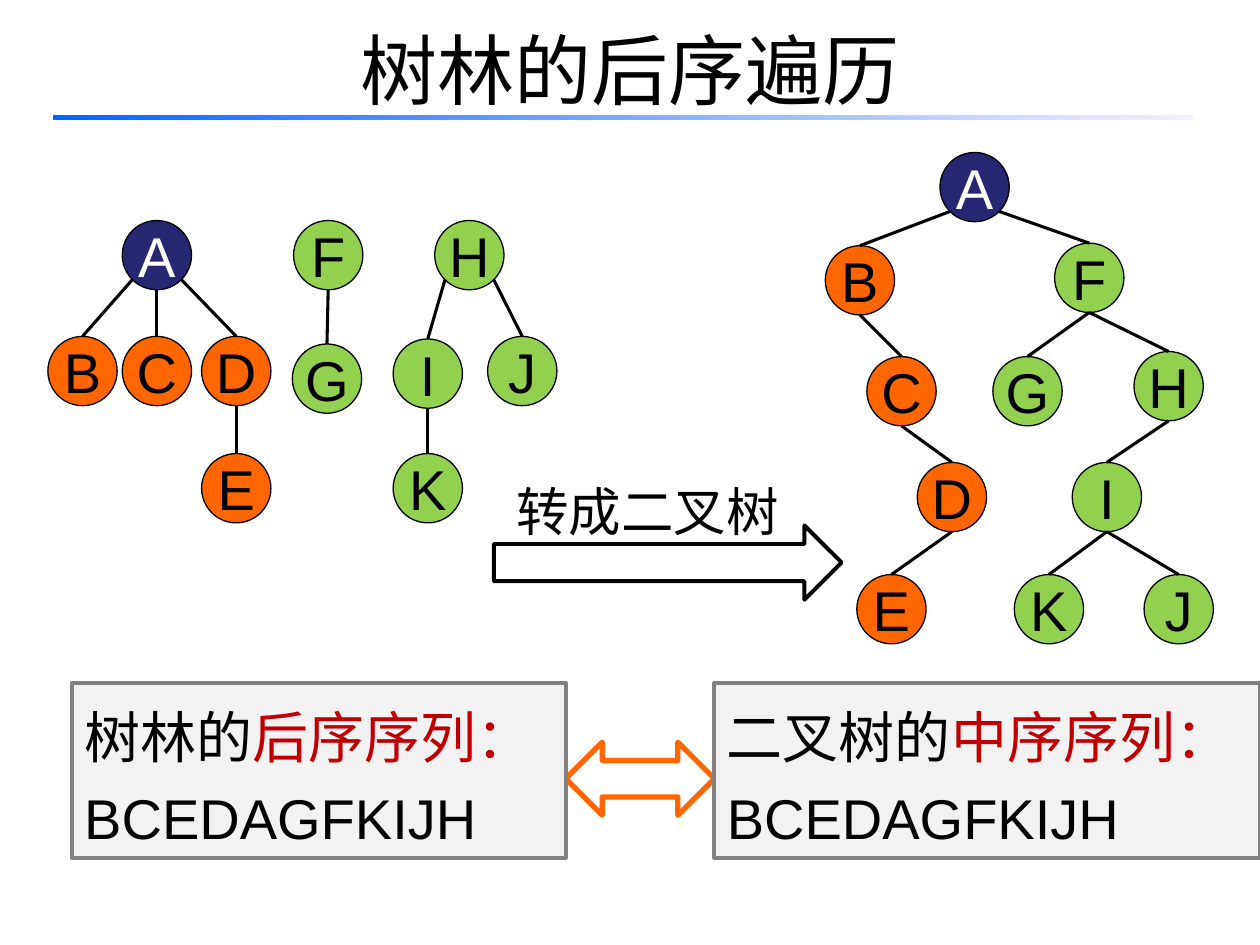
from pptx import Presentation
from pptx.dml.color import RGBColor
from pptx.enum.shapes import MSO_CONNECTOR, MSO_SHAPE
from pptx.enum.text import MSO_ANCHOR, MSO_AUTO_SIZE, PP_ALIGN
from pptx.oxml.ns import qn
from pptx.util import Inches, Pt
from lxml import etree

RECT, OVAL = MSO_SHAPE.RECTANGLE, MSO_SHAPE.OVAL
RIGHT, BOTH = MSO_SHAPE.RIGHT_ARROW, MSO_SHAPE.LEFT_RIGHT_ARROW
STRAIGHT = MSO_CONNECTOR.STRAIGHT
TOP, MIDDLE = MSO_ANCHOR.TOP, MSO_ANCHOR.MIDDLE
LEFT, CENTER = PP_ALIGN.LEFT, PP_ALIGN.CENTER
GROW = MSO_AUTO_SIZE.SHAPE_TO_FIT_TEXT

BLACK = RGBColor(0x00, 0x00, 0x00)
WHITE = RGBColor(0xFF, 0xFF, 0xFF)
NAVY = RGBColor(0x26, 0x26, 0x73)
ORANGE = RGBColor(0xFF, 0x66, 0x00)
GREEN = RGBColor(0x92, 0xD0, 0x50)
RED = RGBColor(0xC0, 0x00, 0x00)
GRAY = RGBColor(0x80, 0x80, 0x80)
PALE = RGBColor(0xF2, 0xF2, 0xF2)
BLUE = RGBColor(0x00, 0x66, 0xFF)
LILAC = RGBColor(0xF7, 0xEF, 0xFF)

prs = Presentation()
prs.slide_width, prs.slide_height = Inches(10), Inches(7.5)
slide = prs.slides.add_slide(prs.slide_layouts[5])
shapes = slide.shapes

# Grid of 100 columns by 75 rows
COL, ROW = prs.slide_width / 100, prs.slide_height / 75


def place(x, y, w, h):
    return [round(v) for v in (x * COL, y * ROW, w * COL, h * ROW)]


def write(par, text, color, size, face="Arial"):
    run = par.add_run()
    run.text = text
    style = {"size": Pt(size), "name": face, "bold": False}
    for key, val in style.items():
        setattr(run.font, key, val)
    run.font.color.rgb = color
    east = etree.SubElement(run.font._element, qn("a:ea"))
    east.set("typeface", "Noto Sans CJK SC")


# Title and the fading rule under it
title = shapes.title
title.left, title.top, title.width, title.height = place(5, -0.8, 90, 12.5)
title.text_frame.vertical_anchor = MIDDLE
head = title.text_frame.paragraphs[0]
head.alignment = CENTER
write(head, "树林的后序遍历", BLACK, 44, "Noto Sans CJK SC")

rule = shapes.add_shape(RECT, *place(4.2, 9.1, 90.5, 0.4))
rule.shadow.inherit = False
rule.line.fill.background()
rule.fill.gradient()
rule.fill.gradient_angle = 0
for stop, color, pos in zip(rule.fill.gradient_stops, (BLUE, LILAC), (0, 1)):
    stop.color.rgb, stop.position = color, pos

# Trees: letter, left column, top row, fill, parent, where the edge leaves it
SIZE = 5.5
LOW = {"left": (0.15, 0.85), "mid": (0.5, 1), "right": (0.85, 0.85)}
forest = [
    ("A", 9.7, 17.5, NAVY, None, None),
    ("B", 3.8, 26.7, ORANGE, "A", "left"),
    ("C", 9.7, 26.7, ORANGE, "A", "mid"),
    ("D", 16, 26.7, ORANGE, "A", "right"),
    ("E", 16, 36, ORANGE, "D", "mid"),
    ("F", 23.3, 17.5, GREEN, None, None),
    ("G", 23.2, 27.3, GREEN, "F", "mid"),
    ("H", 34.5, 17.5, GREEN, None, None),
    ("I", 31.2, 26.9, GREEN, "H", "left"),
    ("J", 38.7, 26.7, GREEN, "H", "right"),
    ("K", 31.2, 36, GREEN, "I", "mid"),
]
binary = [
    ("A", 74.6, 12.1, NAVY, None, None),
    ("B", 65.5, 19.5, ORANGE, "A", "left"),
    ("C", 68.8, 28.3, ORANGE, "B", "mid"),
    ("D", 72.8, 36.7, ORANGE, "C", "mid"),
    ("E", 68, 45.6, ORANGE, "D", "mid"),
    ("F", 83.7, 19.3, GREEN, "A", "right"),
    ("G", 78.8, 28.3, GREEN, "F", "mid"),
    ("H", 90, 27.9, GREEN, "F", "mid"),
    ("I", 85.1, 36.7, GREEN, "H", "mid"),
    ("K", 80.5, 45.6, GREEN, "I", "mid"),
    ("J", 90.8, 45.6, GREEN, "I", "mid"),
]
for tree in (forest, binary):
    nodes = {}
    for name, x, y, fill, root, side in tree:
        node = nodes[name] = shapes.add_shape(OVAL, *place(x, y, SIZE, SIZE))
        node.shadow.inherit = False
        node.fill.solid()
        node.fill.fore_color.rgb = fill
        node.line.color.rgb, node.line.width = BLACK, Pt(0.75)
        frame = node.text_frame
        frame.word_wrap, frame.vertical_anchor = False, MIDDLE
        frame.paragraphs[0].alignment = CENTER
        write(frame.paragraphs[0], name, WHITE if fill == NAVY else BLACK, 32)
        if root:
            up, (dx, dy) = nodes[root], LOW[side]
            edge = shapes.add_connector(
                STRAIGHT, round(up.left + dx * up.width),
                round(up.top + dy * up.height), node.left, node.top)
            edge.end_connect(node, 0)
            edge.line.color.rgb, edge.line.width = BLACK, Pt(1.75)
            etree.SubElement(edge._element.spPr, qn("a:effectLst"))

# Label over the conversion arrow
label = shapes.add_textbox(*place(40, 37.5, 24.2, 6.1))
label.text_frame.word_wrap = True
write(label.text_frame.paragraphs[0], "转成二叉树", BLACK, 30)

# Block arrows
for kind, spot, color, width in (
        (RIGHT, (39.2, 41.7, 27.6, 5.9), BLACK, 2.25),
        (BOTH, (44.9, 58.9, 11.8, 5.8), ORANGE, 3)):
    arrow = shapes.add_shape(kind, *place(*spot))
    arrow.shadow.inherit = False
    arrow.fill.background()
    arrow.line.color.rgb, arrow.line.width = color, Pt(width)

# Sequence boxes
for x, width, start, order in (
        (5.7, 39.2, "树林的", "后序序列："),
        (56.7, 43.3, "二叉树的", "中序序列：")):
    box = shapes.add_shape(RECT, *place(x, 54.2, width, 13.9))
    box.shadow.inherit = False
    box.fill.solid()
    box.fill.fore_color.rgb = PALE
    box.line.color.rgb, box.line.width = GRAY, Pt(2.25)
    frame = box.text_frame
    looks = {"word_wrap": True, "vertical_anchor": TOP, "auto_size": GROW}
    for key, val in looks.items():
        setattr(frame, key, val)
    lines = frame.paragraphs[0], frame.add_paragraph()
    for par in lines:
        par.alignment, par.line_spacing = LEFT, 1.2
    write(lines[0], start, BLACK, 32)
    write(lines[0], order, RED, 32)
    write(lines[1], "BCEDAGFKIJH", BLACK, 32)

prs.save("out.pptx")
